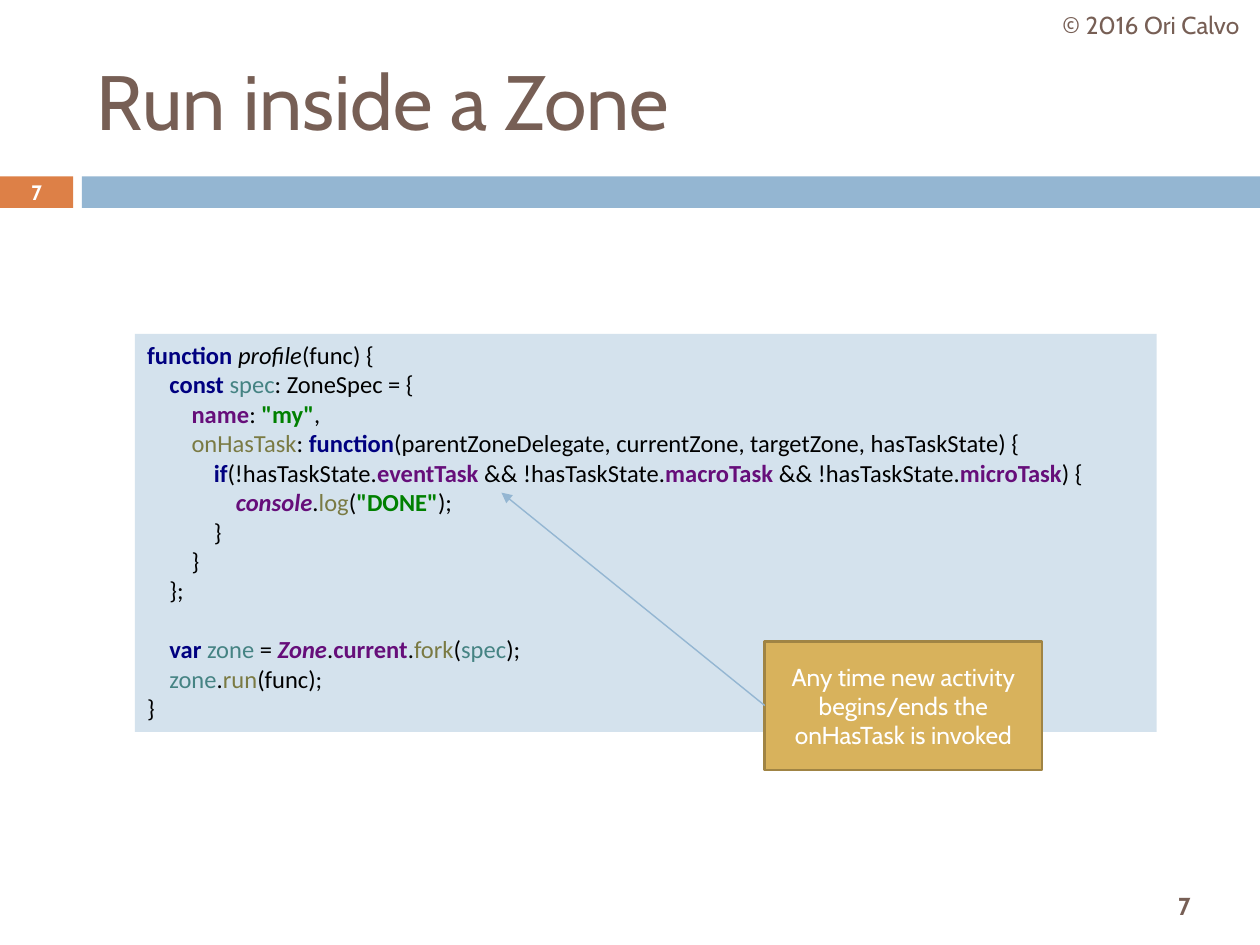
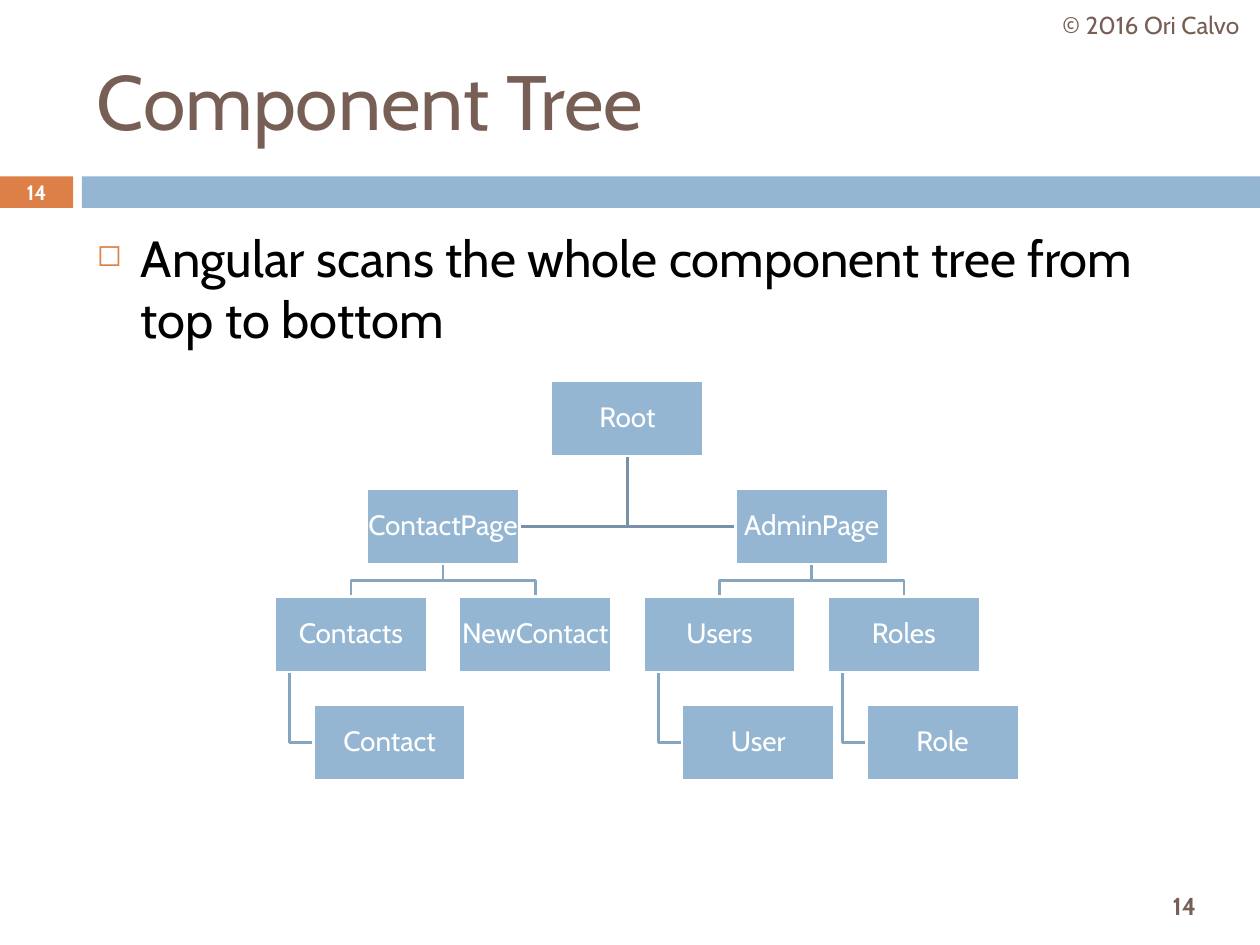
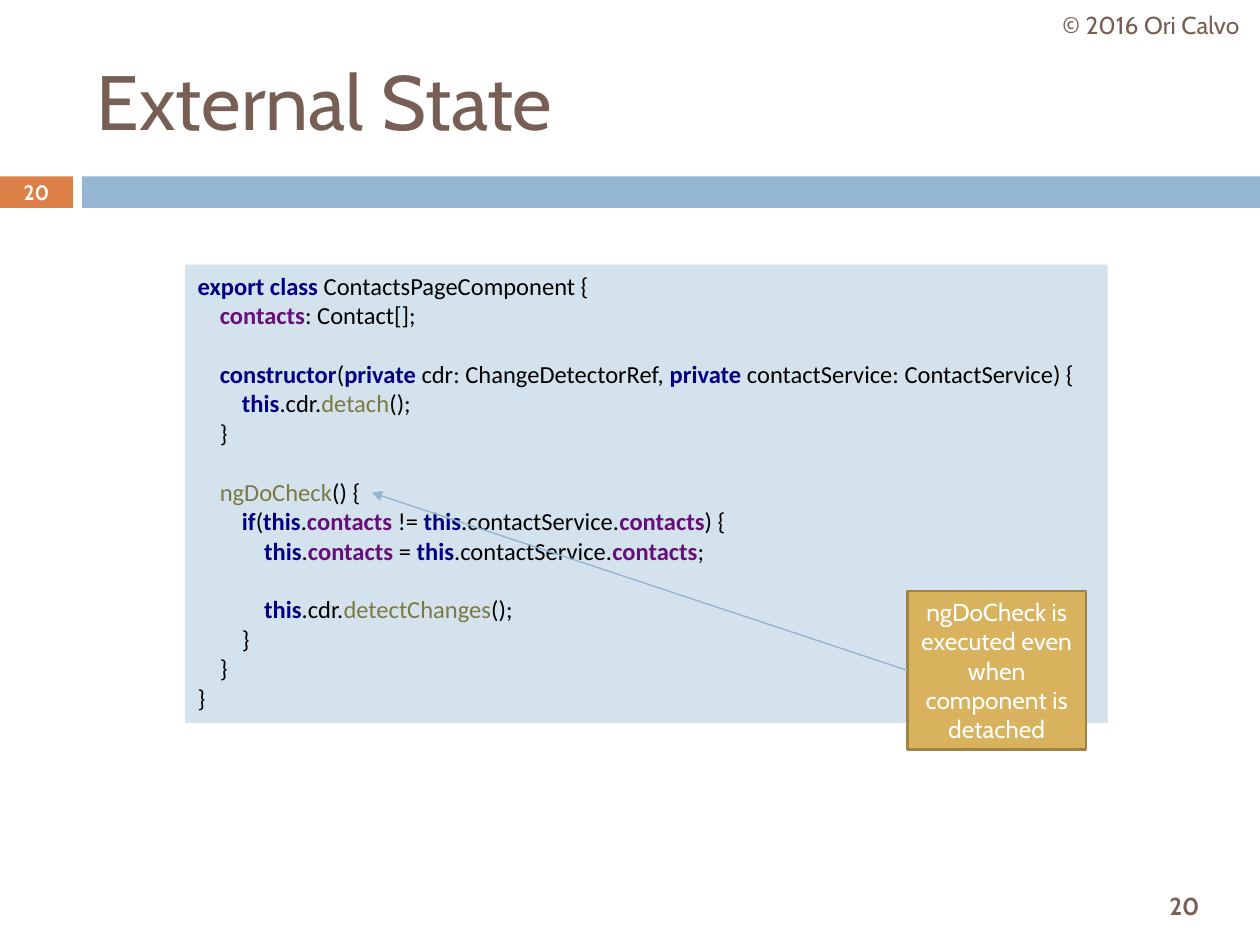
"""Builds three slides on zones, the component tree and external state."""
from lxml import etree
from pptx import Presentation
from pptx.dml.color import RGBColor
from pptx.enum.shapes import MSO_CONNECTOR, MSO_SHAPE
from pptx.enum.text import MSO_ANCHOR, PP_ALIGN
from pptx.oxml.ns import qn
from pptx.util import Inches, Pt

RECTANGLE = MSO_SHAPE.RECTANGLE
STRAIGHT = MSO_CONNECTOR.STRAIGHT
TOP, MIDDLE = MSO_ANCHOR.TOP, MSO_ANCHOR.MIDDLE
LEFT, CENTER = PP_ALIGN.LEFT, PP_ALIGN.CENTER

COLORS = {
    "brown": "775F55", "orange": "DD8047", "blue": "94B6D2", "pale": "D4E2ED",
    "gold": "D8B25C", "gold edge": "A08444", "white": "FFFFFF", "black": "000000",
    "upper link": "7792A8", "lower link": "86A5BF", "navy": "000080",
    "teal": "458383", "purple": "660E7A", "green": "008000", "olive": "7A7A43",
}
CODE_STYLES = {
    "k": {"color": "navy", "bold": True},
    "p": {"color": "purple", "bold": True},
    "o": {"color": "purple", "bold": True, "italic": True},
    "s": {"color": "green", "bold": True},
    "v": {"color": "teal"},
    "f": {"color": "olive"},
    "i": {"italic": True},
}

presentation = Presentation()
presentation.slide_width, presentation.slide_height = Inches(10), Inches(7.5)
COLUMN = presentation.slide_width / 100
ROW = presentation.slide_height / 75


def write(paragraph, text, size=14, color="black", font="Cabin", bold=False,
          italic=False, align=LEFT):
    paragraph.alignment = align
    run = paragraph.add_run()
    run.text = text
    run.font.name, run.font.size = font, Pt(size)
    run.font.bold, run.font.italic = bold, italic
    run.font.color.rgb = RGBColor.from_string(COLORS[color])


def place(slide, column, row, columns, rows, fill=None, edge=None, anchor=MIDDLE):
    box = [int(column * COLUMN), int(row * ROW), int(columns * COLUMN), int(rows * ROW)]
    if fill:
        shape = slide.shapes.add_shape(RECTANGLE, *box)
        shape.shadow.inherit = False
        shape.fill.solid()
        shape.fill.fore_color.rgb = RGBColor.from_string(COLORS[fill])
        if edge:
            shape.line.color.rgb = RGBColor.from_string(COLORS[edge])
            shape.line.width = Pt(1.5)
        else:
            shape.line.fill.background()
    else:
        shape = slide.shapes.add_textbox(*box)
    shape.text_frame.word_wrap = True
    shape.text_frame.vertical_anchor = anchor
    return shape


slides = []
for title, number in (("Run inside a Zone", "7"), ("Component Tree", "14"),
                      ("External State", "20")):
    slide = presentation.slides.add_slide(presentation.slide_layouts[6])
    slides.append(slide)
    place(slide, 0, 14, 5.8, 2.5, fill="orange")
    place(slide, 6.5, 14, 93.5, 2.5, fill="blue")
    for text, box, style in (
        (number, (89.4, 69.8, 9.2, 4.2), {"bold": True, "align": CENTER}),
        (title, (6.7, 2.5, 89.2, 10.8), {"size": 44}),
        ("© 2016 Ori Calvo", (82.7, 0, 17.3, 4), {"align": CENTER}),
        (number, (0, 13.9, 5.8, 2.7),
         {"size": 11.9, "color": "white", "bold": True, "align": CENTER}),
    ):
        shape = place(slide, *box)
        write(shape.text_frame.paragraphs[0], text, **{"color": "brown", **style})
zone_slide, tree_slide, state_slide = slides

ZONE_CODE = (
    (0, "~kfunction ~~iprofile~(func) {"),
    (1, "~kconst ~~vspec~: ZoneSpec = {"),
    (2, '~pname~: ~s"my"~,'),
    (2, "~fonHasTask~: ~kfunction~(parentZoneDelegate, currentZone, targetZone, hasTaskState) {"),
    (3, "~kif~(!hasTaskState.~peventTask ~&& !hasTaskState.~pmacroTask ~"
        "&& !hasTaskState.~pmicroTask~) {"),
    (4, '~oconsole~.~flog~(~s"DONE"~);'),
    (3, "}"),
    (2, "}"),
    (1, "};"),
    None,
    (1, "~kvar ~~vzone ~= ~oZone~.~pcurrent~.~ffork~(~vspec~);"),
    (1, "~vzone~.~frun~(func);"),
    (0, "}"),
)
STATE_CODE = (
    (0, "~kexport class ~ContactsPageComponent {"),
    (1, "~pcontacts~: Contact[];"),
    None,
    (1, "~kconstructor~(~kprivate ~cdr: ChangeDetectorRef, ~kprivate ~"
        "contactService: ContactService) {"),
    (2, "~kthis~.cdr.~fdetach~();"),
    (1, "}"),
    None,
    (1, "~fngDoCheck~() {"),
    (2, "~kif~(~kthis~.~pcontacts ~!= ~kthis~.contactService.~pcontacts~) {"),
    (3, "~kthis~.~pcontacts ~= ~kthis~.contactService.~pcontacts~;"),
    None,
    (3, "~kthis~.cdr.~fdetectChanges~();"),
    (2, "}"),
    (1, "}"),
    (0, "}"),
)
CODE_LINE = Pt(16.8)
CODE_INDENT = 1.76 * COLUMN

for slide, code, panel, note, callout, target in (
    (zone_slide, ZONE_CODE, (10.7, 26.5, 81.1, 31.6),
     "Any time new activity begins/ends the onHasTask is invoked",
     (60.7, 50.9, 22, 10.2), (39.8, 39.1)),
    (state_slide, STATE_CODE, (14.7, 21, 73.2, 36.4),
     "ngDoCheck is executed even when component is detached",
     (72, 46.9, 14.2, 12.6), (29.5, 39.1)),
):
    frame = place(slide, *panel, fill="pale", anchor=TOP).text_frame
    paragraph, gap = frame.paragraphs[0], 0
    for line in code:
        if line is None:
            gap = CODE_LINE
            continue
        depth, text = line
        if paragraph.runs:
            paragraph = frame.add_paragraph()
        paragraph.space_before, gap = gap, 0
        paragraph._p.get_or_add_pPr().set("marL", str(int(depth * CODE_INDENT)))
        for position, part in enumerate(text.split("~")):
            if position % 2:
                write(paragraph, part[1:], font="Calibri", **CODE_STYLES[part[0]])
            elif part:
                write(paragraph, part, font="Calibri")

    shape = place(slide, *callout, fill="gold", edge="gold edge")
    write(shape.text_frame.paragraphs[0], note, color="white", align=CENTER)
    arrow = slide.shapes.add_connector(
        STRAIGHT, shape.left, shape.top + shape.height // 2,
        int(target[0] * COLUMN), int(target[1] * ROW))
    arrow.line.color.rgb = RGBColor.from_string(COLORS["blue"])
    arrow.line.width = Pt(0.79)
    etree.SubElement(arrow.line._get_or_add_ln(), qn("a:tailEnd"), type="triangle")
    etree.SubElement(arrow._element.spPr, qn("a:effectLst"))

body = place(tree_slide, 6.7, 17.5, 89.2, 49.2, anchor=TOP)
paragraph = body.text_frame.paragraphs[0]
write(paragraph, "Angular scans the whole component tree from top to bottom", size=29)
paragraph.space_before = Pt(7)
properties = paragraph._p.get_or_add_pPr()
properties.set("marL", str(Inches(0.35)))
properties.set("indent", str(-Inches(0.35)))
bullet_color = etree.SubElement(properties, qn("a:buClr"))
etree.SubElement(bullet_color, qn("a:srgbClr"), val=COLORS["orange"])
etree.SubElement(properties, qn("a:buSzPct"), val="60000")
etree.SubElement(properties, qn("a:buChar"), char="◻")

TREE_LEFT, TREE_TOP = 21.8, 30.2
SLOT, LEVEL = 14.63, 8.57
NODE_WIDTH, NODE_HEIGHT = 12.1, 6
HANG = 1.2
NODES = {
    "Root": (1.5, 0, None),
    "ContactPage": (0.5, 1, "Root"),
    "Contacts": (0, 2, "ContactPage"),
    "Contact": (0.21, 3, "Contacts"),
    "NewContact": (1, 2, "ContactPage"),
    "AdminPage": (2.5, 1, "Root"),
    "Users": (2, 2, "AdminPage"),
    "User": (2.21, 3, "Users"),
    "Roles": (3, 2, "AdminPage"),
    "Role": (3.21, 3, "Roles"),
}
corners = {name: (TREE_LEFT + slot * SLOT, TREE_TOP + level * LEVEL)
           for name, (slot, level, parent) in NODES.items()}

for name, (slot, level, parent) in reversed(NODES.items()):
    if parent is None:
        continue
    left, top = corners[name]
    parent_left, parent_top = corners[parent]
    start_row = parent_top + NODE_HEIGHT
    middle_row = top + NODE_HEIGHT / 2
    parent_center = parent_left + NODE_WIDTH / 2
    if level == 1:
        side = left + NODE_WIDTH if left < parent_left else left
        points = [(parent_center, start_row), (parent_center, middle_row), (side, middle_row)]
    elif level == 2:
        center, bend = left + NODE_WIDTH / 2, (start_row + top) / 2
        points = [(parent_center, start_row), (parent_center, bend), (center, bend), (center, top)]
    else:
        stem = parent_left + HANG
        points = [(stem, start_row), (stem, middle_row), (left, middle_row)]
    points = [(int(column * COLUMN), int(row * ROW)) for column, row in points]
    builder = tree_slide.shapes.build_freeform(*points[0])
    builder.add_line_segments(points[1:], close=False)
    link = builder.convert_to_shape()
    link.shadow.inherit = False
    link.fill.background()
    link.line.width = Pt(1.5)
    link.line.color.rgb = RGBColor.from_string(
        COLORS["upper link" if level == 1 else "lower link"])

for name, (left, top) in corners.items():
    frame = place(tree_slide, left, top, NODE_WIDTH, NODE_HEIGHT,
                  fill="blue", edge="white").text_frame
    frame.word_wrap = False
    frame.margin_left = frame.margin_right = Inches(0.01)
    frame.margin_top = frame.margin_bottom = Inches(0.01)
    frame.paragraphs[0].line_spacing = 0.9
    write(frame.paragraphs[0], name, size=16, color="white", align=CENTER)

presentation.save("out.pptx")
